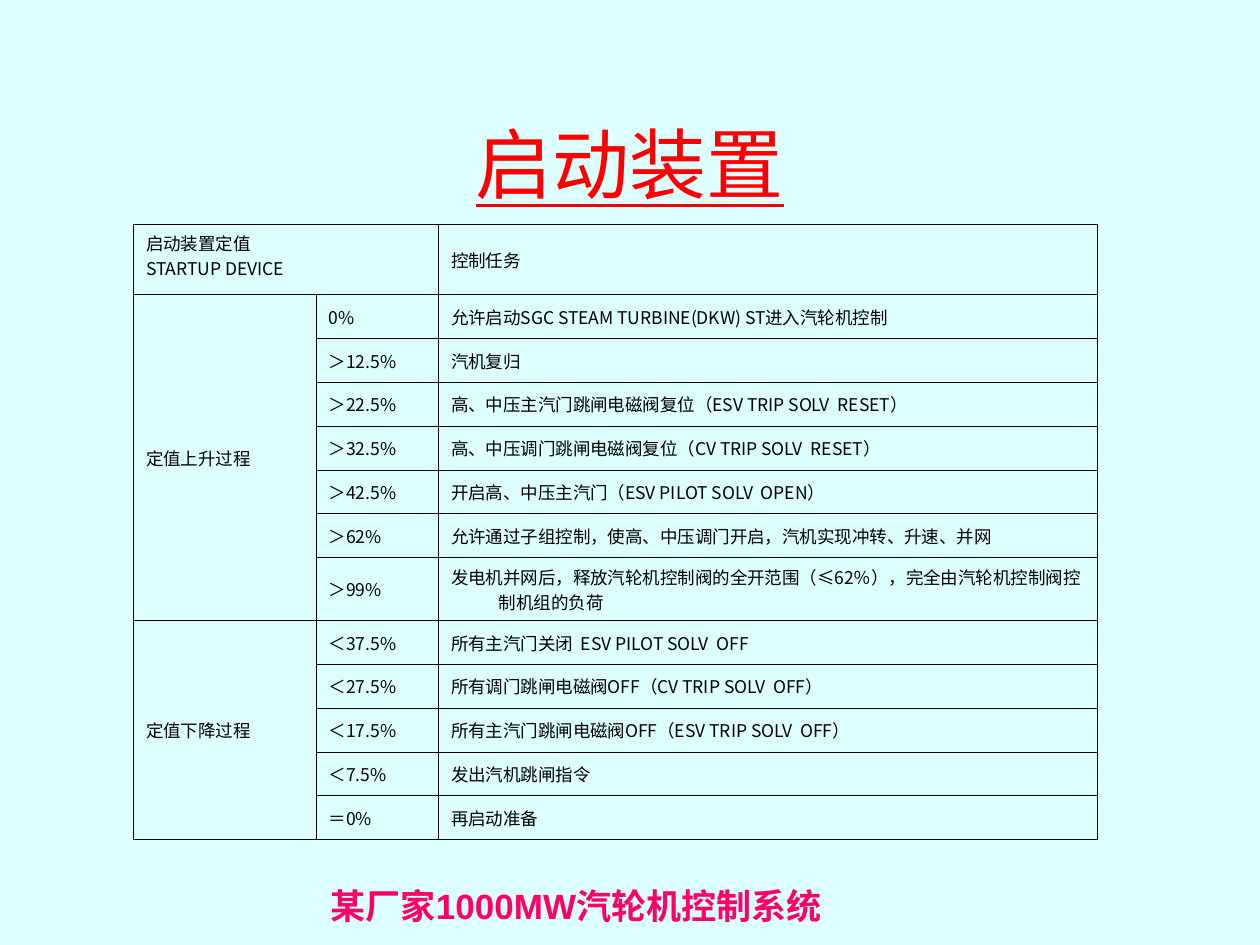
from lxml import etree
from pptx import Presentation
from pptx.dml.color import RGBColor
from pptx.enum.text import MSO_ANCHOR, PP_ALIGN
from pptx.oxml.ns import qn
from pptx.util import Inches, Pt

BACKGROUND = RGBColor(0xDD, 0xFF, 0xFF)
RED = RGBColor(0xFF, 0x00, 0x00)
PINK = RGBColor(0xFF, 0x00, 0x66)
BLACK = RGBColor(0x00, 0x00, 0x00)

MIDDLE, BOTTOM, TOP = MSO_ANCHOR.MIDDLE, MSO_ANCHOR.BOTTOM, MSO_ANCHOR.TOP
LEFT, CENTER, RIGHT = PP_ALIGN.LEFT, PP_ALIGN.CENTER, PP_ALIGN.RIGHT
CJK_FONT = "Noto Sans CJK SC"
TITLE_ONLY_LAYOUT = 5

COLUMN_WIDTHS = [1.45, 0.97, 5.23]
HEADER_HEIGHT, ROW_HEIGHT, TALL_ROW_HEIGHT = 0.56, 0.348, 0.5
TALL_ROW = 7

# Each process holds its setpoints and their control tasks
PROCESSES = [
    ("定值上升过程", [
        ("0%", "允许启动SGC STEAM TURBINE(DKW) ST进入汽轮机控制"),
        ("＞12.5%", "汽机复归"),
        ("＞22.5%", "高、中压主汽门跳闸电磁阀复位（ESV TRIP SOLV  RESET）"),
        ("＞32.5%", "高、中压调门跳闸电磁阀复位（CV TRIP SOLV  RESET）"),
        ("＞42.5%", "开启高、中压主汽门（ESV PILOT SOLV  OPEN）"),
        ("＞62%", "允许通过子组控制，使高、中压调门开启，汽机实现冲转、升速、并网"),
        ("＞99%", "发电机并网后，释放汽轮机控制阀的全开范围（≤62％），完全由汽轮机控制阀控制机组的负荷"),
    ]),
    ("定值下降过程", [
        ("＜37.5%", "所有主汽门关闭  ESV PILOT SOLV  OFF"),
        ("＜27.5%", "所有调门跳闸电磁阀OFF（CV TRIP SOLV  OFF）"),
        ("＜17.5%", "所有主汽门跳闸电磁阀OFF（ESV TRIP SOLV  OFF）"),
        ("＜7.5%", "发出汽机跳闸指令"),
        ("＝0%", "再启动准备"),
    ]),
]


def add_run(paragraph, text, font_name, size, color, bold=False, underline=False):
    run = paragraph.add_run()
    run.text = text
    font = run.font
    font.name, font.size = font_name, Pt(size)
    font.bold, font.underline = bold, underline
    font.color.rgb = color
    east_asian = etree.SubElement(run._r.get_or_add_rPr(), qn("a:ea"))
    east_asian.set("typeface", CJK_FONT)


def set_title(slide, text):
    title = slide.shapes.title
    title.left, title.top = Inches(0.75), Inches(0.67)
    title.width, title.height = Inches(8.5), Inches(1.25)
    title.text_frame.vertical_anchor = MIDDLE
    paragraph = title.text_frame.paragraphs[0]
    paragraph.alignment = CENTER
    add_run(paragraph, text, "Times New Roman", 44, RED, underline=True)


def add_footer(slide, text):
    footer = slide.shapes.add_textbox(Inches(0.83), Inches(6.9), Inches(5.79), Inches(0.5))
    text_frame = footer.text_frame
    text_frame.word_wrap = True
    text_frame.vertical_anchor = BOTTOM
    paragraph = text_frame.paragraphs[0]
    paragraph.alignment = RIGHT
    add_run(paragraph, text, "Arial", 20, PINK, bold=True)


def style_cell(cell):
    """Clear the fill and draw a thin line on all four sides."""
    cell.fill.background()
    properties = cell._tc.get_or_add_tcPr()
    for index, side in enumerate(("a:lnL", "a:lnR", "a:lnT", "a:lnB")):
        line = etree.Element(qn(side), w=str(Pt(0.45)))
        fill = etree.SubElement(line, qn("a:solidFill"))
        etree.SubElement(fill, qn("a:srgbClr"), val=str(BLACK))
        properties.insert(index, line)


def fill_cell(cell, *lines, anchor=MIDDLE):
    cell.vertical_anchor = anchor
    cell.margin_left = cell.margin_right = Inches(0.1)
    cell.margin_top = cell.margin_bottom = Inches(0.05)
    for index, text in enumerate(lines):
        text_frame = cell.text_frame
        paragraph = text_frame.add_paragraph() if index else text_frame.paragraphs[0]
        paragraph.alignment = LEFT
        # Hanging indent for wrapped lines
        properties = paragraph._p.get_or_add_pPr()
        properties.set("marL", str(Inches(0.38)))
        properties.set("indent", str(-Inches(0.38)))
        add_run(paragraph, text, CJK_FONT, 10, BLACK)


def add_task_table(slide):
    row_count = 1 + sum(len(tasks) for _, tasks in PROCESSES)
    heights = [HEADER_HEIGHT] + [ROW_HEIGHT] * (row_count - 1)
    heights[TALL_ROW] = TALL_ROW_HEIGHT
    table = slide.shapes.add_table(
        row_count, len(COLUMN_WIDTHS), Inches(1.06), Inches(1.78),
        Inches(sum(COLUMN_WIDTHS)), Inches(sum(heights))).table
    table.first_row = table.horz_banding = False
    for column, width in zip(table.columns, COLUMN_WIDTHS):
        column.width = Inches(width)
    for row, height in zip(table.rows, heights):
        row.height = Inches(height)
    for cell in table.iter_cells():
        style_cell(cell)

    # Header row
    table.cell(0, 0).merge(table.cell(0, 1))
    fill_cell(table.cell(0, 0), "启动装置定值", "STARTUP DEVICE", anchor=TOP)
    fill_cell(table.cell(0, 2), "控制任务")

    # Process rows
    first = 1
    for process, tasks in PROCESSES:
        table.cell(first, 0).merge(table.cell(first + len(tasks) - 1, 0))
        fill_cell(table.cell(first, 0), process)
        for row, (setpoint, task) in enumerate(tasks, first):
            fill_cell(table.cell(row, 1), setpoint)
            fill_cell(table.cell(row, 2), task)
        first += len(tasks)


def main():
    presentation = Presentation()
    presentation.slide_width, presentation.slide_height = Inches(10), Inches(7.5)
    slide = presentation.slides.add_slide(presentation.slide_layouts[TITLE_ONLY_LAYOUT])
    slide.background.fill.solid()
    slide.background.fill.fore_color.rgb = BACKGROUND
    add_footer(slide, "某厂家1000MW汽轮机控制系统")
    set_title(slide, "启动装置")
    add_task_table(slide)
    presentation.save("out.pptx")


if __name__ == "__main__":
    main()
